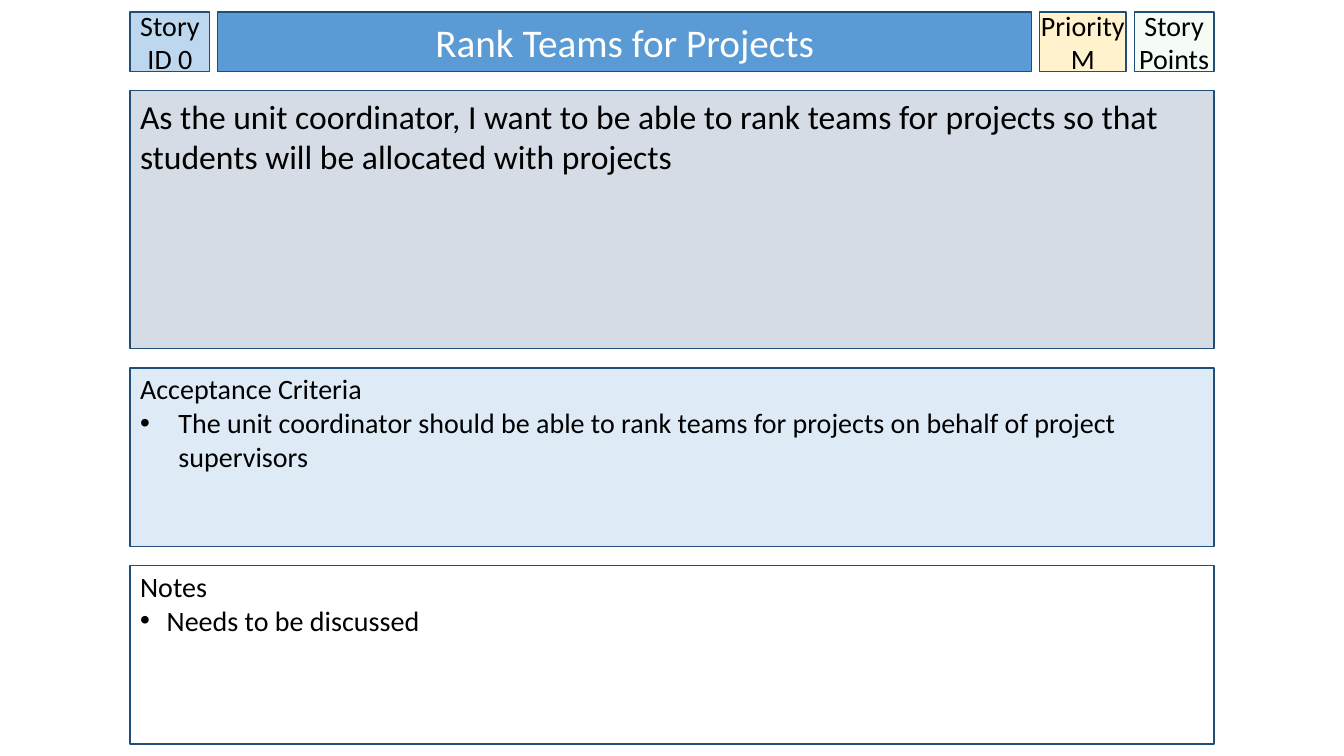
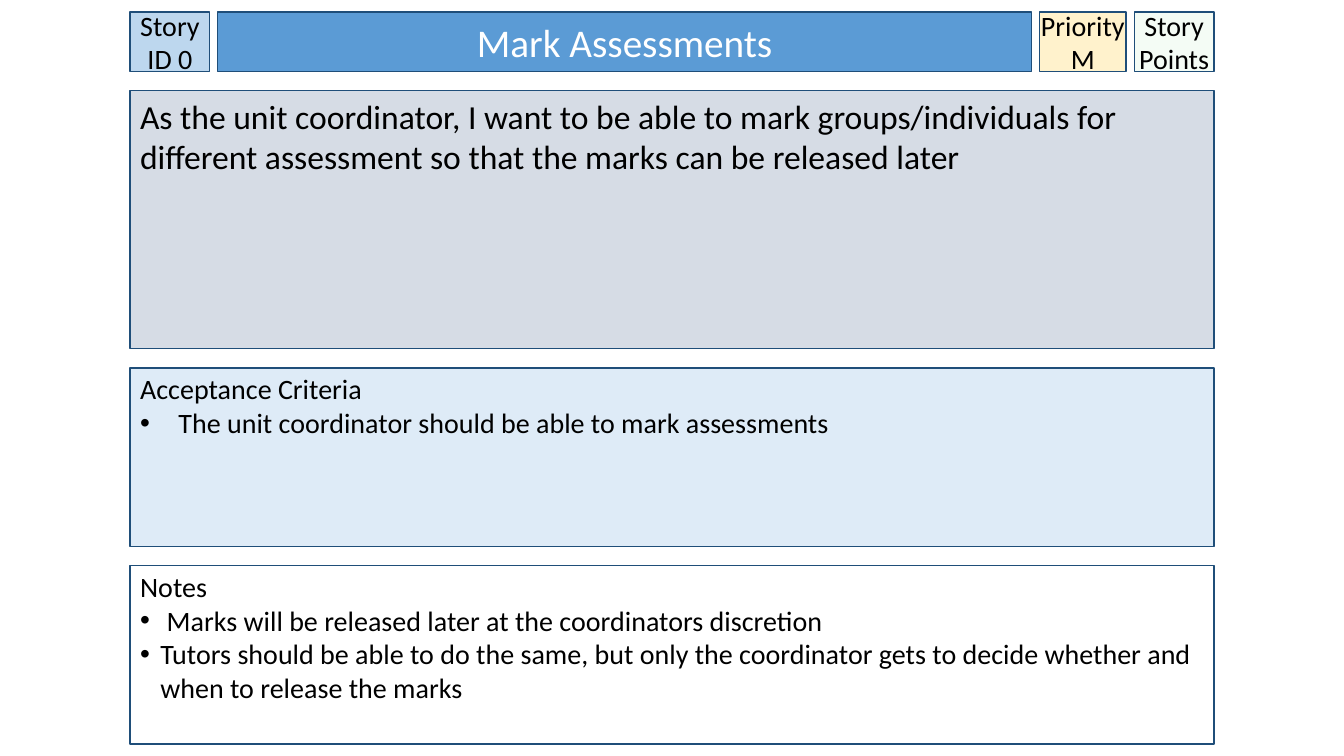
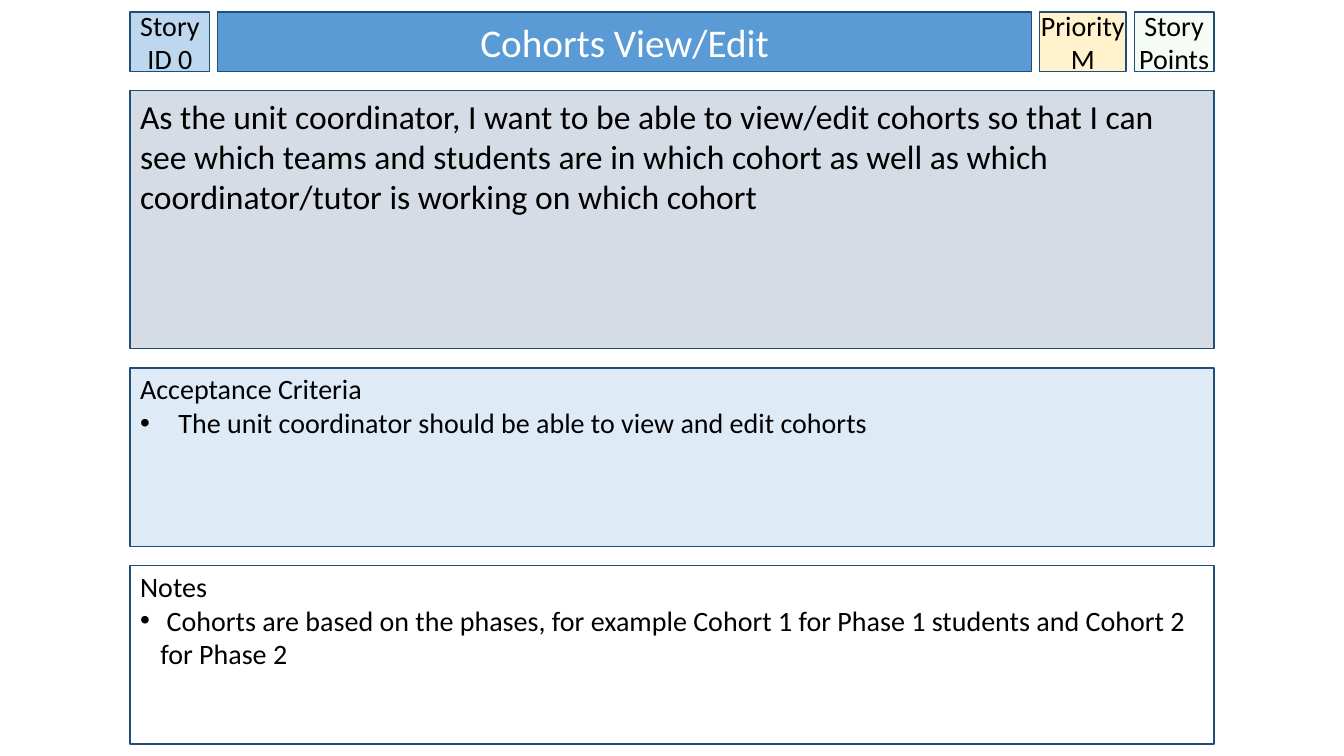
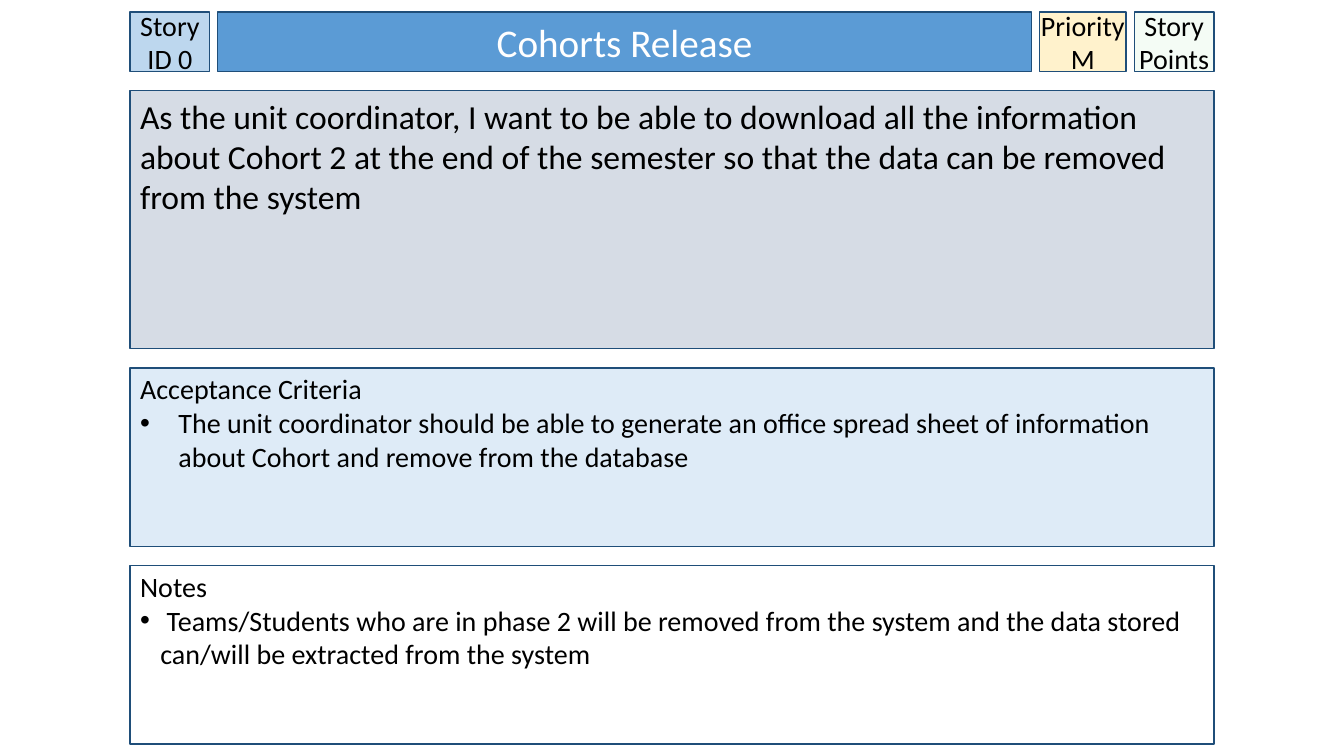
from itertools import accumulate

from lxml import etree
from pptx import Presentation
from pptx.dml.color import RGBColor
from pptx.enum.shapes import MSO_SHAPE
from pptx.enum.text import MSO_ANCHOR, MSO_AUTO_SIZE, PP_ALIGN
from pptx.oxml.ns import qn
from pptx.util import Inches, Pt

RECTANGLE = MSO_SHAPE.RECTANGLE
TOP, MIDDLE = MSO_ANCHOR.TOP, MSO_ANCHOR.MIDDLE
LEFT, CENTER = PP_ALIGN.LEFT, PP_ALIGN.CENTER
NO_AUTOFIT = MSO_AUTO_SIZE.NONE

# Shared style
FONT = "Calibri"
BLACK = RGBColor(0x00, 0x00, 0x00)
WHITE = RGBColor(0xFF, 0xFF, 0xFF)
OUTLINE = RGBColor(0x1F, 0x4E, 0x79)
ID_BLUE = RGBColor(0xBD, 0xD7, 0xEE)
TITLE_BLUE = RGBColor(0x5B, 0x9B, 0xD5)
PRIORITY_YELLOW = RGBColor(0xFF, 0xF2, 0xCC)
POINTS_GREEN = RGBColor(0xCC, 0xF0, 0xCD)
STORY_GRAY = RGBColor(0xD6, 0xDC, 0xE5)
CRITERIA_BLUE = RGBColor(0xDE, 0xEB, 0xF7)
TITLE_SIZE, STORY_SIZE, TEXT_SIZE = 28, 24, 20
TWO_CONTENT_LAYOUT = 3

# Card grid, in inches: four stacked rows, the first split into four columns
CARD_LEFT, CARD_TOP, CARD_WIDTH = 1.29, 0.12, 10.75
ROW_HEIGHTS, ROW_GAP = (0.59, 2.56, 1.77, 1.77), 0.19
COLUMN_WIDTHS, COLUMN_GAP = (0.79, 8.07, 0.86, 0.79), 0.08
BADGE_INSETS = (0, 0.05, 0, 0.05)
TEXT_INSETS = (0.1, 0.05, 0.1, 0.05)
LIST_INSETS = (0.1, 0.04, 0.1, 0.05)
CRITERIA_INDENT, NOTES_INDENT = 0.38, 0.2

# Title, story, acceptance criteria, notes
STORIES = [
    ("Rank Teams for Projects",
     "As the unit coordinator, I want to be able to rank teams for projects "
     "so that students will be allocated with projects",
     ["The unit coordinator should be able to rank teams for projects on "
      "behalf of project supervisors"],
     [" Needs to be discussed"]),
    ("Mark Assessments",
     "As the unit coordinator, I want to be able to mark groups/individuals "
     "for different assessment so that the marks can be released later",
     ["The unit coordinator should be able to mark assessments"],
     [" Marks will be released later at the coordinators discretion",
      "Tutors should be able to do the same, but only the coordinator gets "
      "to decide whether and when to release the marks"]),
    ("Cohorts View/Edit",
     "As the unit coordinator, I want to be able to view/edit cohorts so that "
     "I can see which teams and students are in which cohort as well as which "
     "coordinator/tutor is working on which cohort",
     ["The unit coordinator should be able to view and edit cohorts"],
     [" Cohorts are based on the phases, for example Cohort 1 for Phase 1 "
      "students and Cohort 2 for Phase 2"]),
    ("Cohorts Release",
     "As the unit coordinator, I want to be able to download all the "
     "information about Cohort 2 at the end of the semester so that the data "
     "can be removed from the system",
     ["The unit coordinator should be able to generate an office spread sheet "
      "of information about Cohort and remove from the database"],
     [" Teams/Students who are in phase 2 will be removed from the system and "
      "the data stored can/will be extracted from the system"]),
]


def spans(start, sizes, gap):
    """Return (start, size) of each track of a grid."""
    starts = accumulate((size + gap for size in sizes[:-1]), initial=start)
    return list(zip(starts, sizes))


def style_panel(panel, box, fill, insets, anchor):
    """Place a panel and give it the shared outline and text frame."""
    panel.left, panel.top, panel.width, panel.height = map(Inches, box)
    panel.fill.solid()
    panel.fill.fore_color.rgb = fill
    panel.line.color.rgb = OUTLINE
    panel.line.width = Pt(1)
    panel.shadow.inherit = False
    frame = panel.text_frame
    frame.auto_size = NO_AUTOFIT
    frame.word_wrap = True
    frame.vertical_anchor = anchor
    (frame.margin_left, frame.margin_top,
     frame.margin_right, frame.margin_bottom) = map(Inches, insets)


def write_lines(panel, lines, size, color=BLACK, align=LEFT):
    frame = panel.text_frame
    for number, line in enumerate(lines):
        paragraph = frame.paragraphs[0] if number == 0 else frame.add_paragraph()
        paragraph.alignment = align
        paragraph.space_before = Pt(0)
        run = paragraph.add_run()
        run.text = line
        run.font.name = FONT
        run.font.size = Pt(size)
        run.font.color.rgb = color


def set_bullet(paragraph, indent):
    """Hang a bullet at the given indent; zero means no bullet."""
    properties = paragraph._p.get_or_add_pPr()
    properties.set("marL", str(Inches(indent)))
    properties.set("indent", str(-Inches(indent)))
    if indent:
        etree.SubElement(properties, qn("a:buFont")).set("typeface", "Arial")
        etree.SubElement(properties, qn("a:buChar")).set("char", "•")
    else:
        etree.SubElement(properties, qn("a:buNone"))


def add_panel(slide, box, fill, insets, anchor):
    panel = slide.shapes.add_shape(RECTANGLE, *map(Inches, box))
    style_panel(panel, box, fill, insets, anchor)
    return panel


def add_badge(slide, box, fill, lines):
    badge = add_panel(slide, box, fill, BADGE_INSETS, MIDDLE)
    write_lines(badge, lines, TEXT_SIZE, align=CENTER)
    return badge


def fill_header(slide, top, height, title):
    id_box, title_box, priority_box, points_box = [
        (left, top, width, height)
        for left, width in spans(CARD_LEFT, COLUMN_WIDTHS, COLUMN_GAP)]
    add_badge(slide, id_box, ID_BLUE, ["Story ID 0"])

    heading = slide.shapes.title
    style_panel(heading, title_box, TITLE_BLUE, TEXT_INSETS, MIDDLE)
    write_lines(heading, [title], TITLE_SIZE, WHITE, CENTER)

    priority = add_badge(slide, priority_box, PRIORITY_YELLOW, ["Priority", "M"])
    priority.text_frame.word_wrap = False

    points = add_badge(slide, points_box, POINTS_GREEN, ["Story Points"])
    green = points.fill._xPr.find(qn("a:solidFill"))[0]
    etree.SubElement(green, qn("a:alpha")).set("val", "20000")


def fill_list(panel, box, fill, heading, items, indent):
    style_panel(panel, box, fill, LIST_INSETS, TOP)
    write_lines(panel, [heading, *items], TEXT_SIZE)
    for number, paragraph in enumerate(panel.text_frame.paragraphs):
        set_bullet(paragraph, indent if number else 0)


def add_story_card(deck, title, story, criteria, notes):
    slide = deck.slides.add_slide(deck.slide_layouts[TWO_CONTENT_LAYOUT])
    header, *body = spans(CARD_TOP, ROW_HEIGHTS, ROW_GAP)
    story_box, criteria_box, notes_box = [
        (CARD_LEFT, top, CARD_WIDTH, height) for top, height in body]

    fill_header(slide, *header, title)
    story_panel = add_panel(slide, story_box, STORY_GRAY, TEXT_INSETS, TOP)
    write_lines(story_panel, [story], STORY_SIZE)
    fill_list(slide.placeholders[1], criteria_box, CRITERIA_BLUE,
              "Acceptance Criteria", criteria, CRITERIA_INDENT)
    fill_list(slide.placeholders[2], notes_box, WHITE,
              "Notes", notes, NOTES_INDENT)


deck = Presentation()
deck.slide_width, deck.slide_height = Inches(13.33), Inches(7.5)
for card in STORIES:
    add_story_card(deck, *card)
deck.save("out.pptx")
